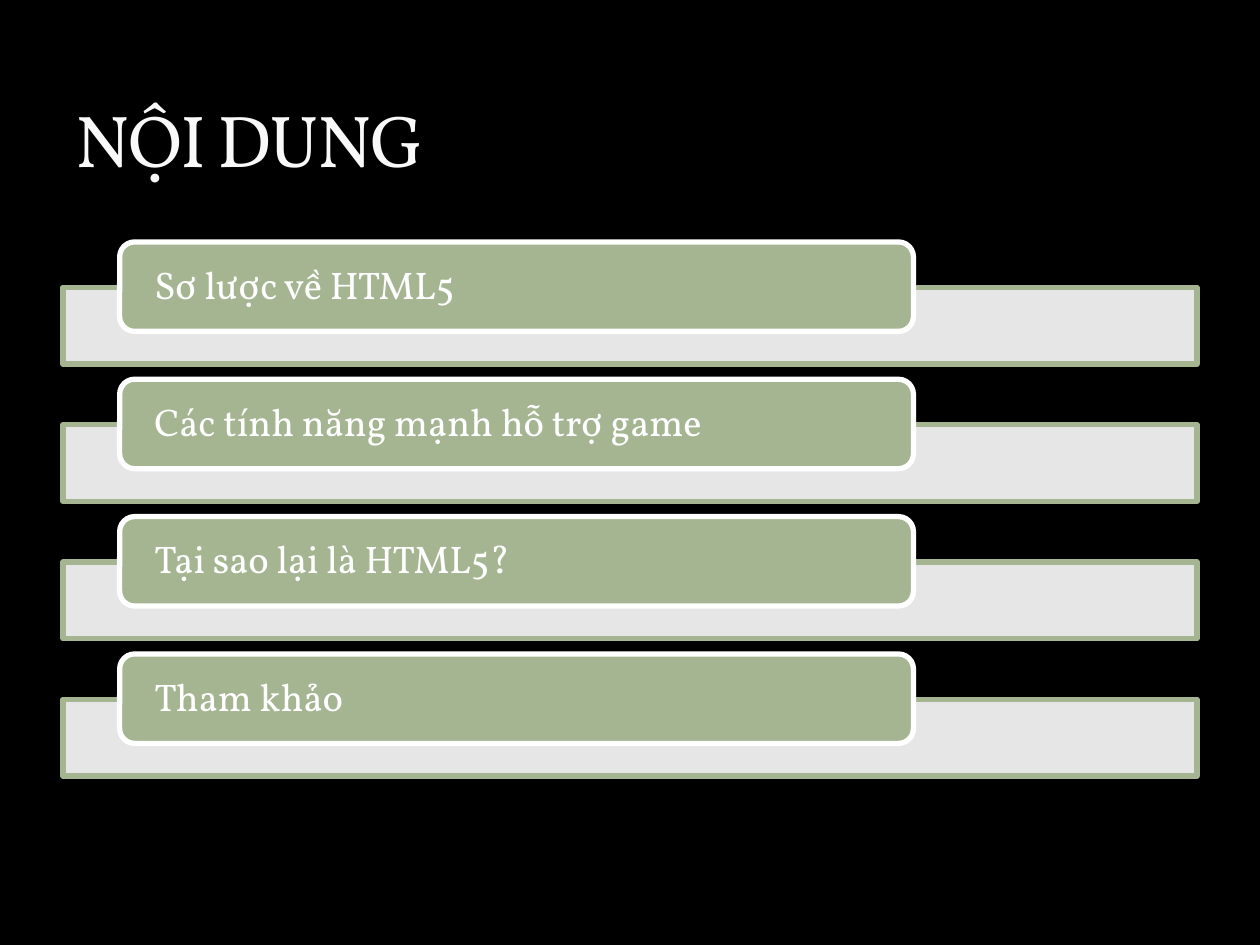
from dataclasses import dataclass

from lxml.etree import SubElement
from pptx import Presentation
from pptx.dml.color import RGBColor
from pptx.enum.shapes import MSO_SHAPE
from pptx.enum.text import MSO_ANCHOR, MSO_AUTO_SIZE, PP_ALIGN
from pptx.oxml.ns import qn
from pptx.slide import Slide
from pptx.util import Inches, Pt

WIDTH, HEIGHT = 10, 7.5
TOPICS = [
    "Sơ lược về HTML5",
    "Các tính năng mạnh hỗ trợ game",
    "Tại sao lại là HTML5?",
    "Tham khảo",
]
MARGIN, FIRST_ROW, ROW_STEP = 0.5, 1.92, 1.09
BAR_DROP, BAR_HEIGHT = 0.36, 0.61
LABEL_INDENT, LABEL_SHARE, LABEL_HEIGHT = 0.45, 0.7, 0.71


def color(code):
    """Turn a hex string into a colour."""
    return RGBColor.from_string(code)


def assign(target, values):
    """Set each named attribute of the target."""
    for name, value in values.items():
        setattr(target, name, value)


@dataclass
class AgendaSlide:
    """Style of the agenda and the slide it is drawn on."""

    slide: Slide
    font: str = "Vollkorn"
    accent: str = "A5B592"
    light: str = "FFFFFF"
    dark: str = "000000"
    title_color: str = "F9F9F9"

    def background(self):
        """Fill the slide with the dark colour."""
        fill = self.slide.background.fill
        fill.solid()
        fill.fore_color.rgb = color(self.dark)

    def wording(self, frame, text, size, ink, anchor):
        """Put one left-aligned line into a text frame and return its run."""
        assign(frame, {"word_wrap": True, "auto_size": MSO_AUTO_SIZE.NONE,
                       "vertical_anchor": anchor})
        paragraph = frame.paragraphs[0]
        paragraph.alignment = PP_ALIGN.LEFT
        run = paragraph.add_run()
        run.text = text
        assign(run.font, {"name": self.font, "size": Pt(size)})
        run.font.color.rgb = color(ink)
        return run

    def title(self, text):
        """Move and format the title placeholder."""
        heading = self.slide.shapes.title
        assign(heading, {"left": Inches(MARGIN), "top": Inches(0.17),
                         "width": Inches(WIDTH - 2 * MARGIN), "height": Inches(1.33)})
        run = self.wording(heading.text_frame, text, 42, self.title_color, MSO_ANCHOR.BOTTOM)
        run._r.get_or_add_rPr().set("spc", "-100")

    def block(self, kind, box, fill, line):
        """Draw a filled shape with a thick border."""
        shape = self.slide.shapes.add_shape(kind, *map(Inches, box))
        shape.shadow.inherit = False
        shape.fill.solid()
        shape.fill.fore_color.rgb = color(fill)
        shape.line.color.rgb = color(line)
        shape.line.width = Pt(3)
        return shape

    def bar(self, top):
        """Draw the wide translucent bar behind a topic."""
        box = MARGIN, top, WIDTH - 2 * MARGIN, BAR_HEIGHT
        bar = self.block(MSO_SHAPE.RECTANGLE, box, self.light, self.accent)
        tint = bar._element.spPr.find(qn("a:solidFill"))[0]
        SubElement(tint, qn("a:alpha"), val="90000")

    def label(self, top, text):
        """Draw the rounded label that names a topic."""
        width = (WIDTH - 2 * MARGIN) * LABEL_SHARE
        box = MARGIN + LABEL_INDENT, top, width, LABEL_HEIGHT
        label = self.block(MSO_SHAPE.ROUNDED_RECTANGLE, box, self.accent, self.light)
        frame = label.text_frame
        assign(frame, {"margin_left": Inches(0.24), "margin_right": Inches(0.24),
                       "margin_top": 0, "margin_bottom": 0})
        self.wording(frame, text, 22, self.light, MSO_ANCHOR.MIDDLE)
        frame.paragraphs[0].line_spacing = 0.9

    def topic(self, row, text):
        """Place a bar and its label on a row of the agenda."""
        top = FIRST_ROW + row * ROW_STEP
        self.bar(top + BAR_DROP)
        self.label(top, text)


def main():
    """Build the agenda and save it."""
    deck = Presentation()
    assign(deck, {"slide_width": Inches(WIDTH), "slide_height": Inches(HEIGHT)})
    agenda = AgendaSlide(deck.slides.add_slide(deck.slide_layouts[5]))
    agenda.background()
    agenda.title("NỘI DUNG")
    for row, text in enumerate(TOPICS):
        agenda.topic(row, text)
    deck.save("out.pptx")


if __name__ == "__main__":
    main()
